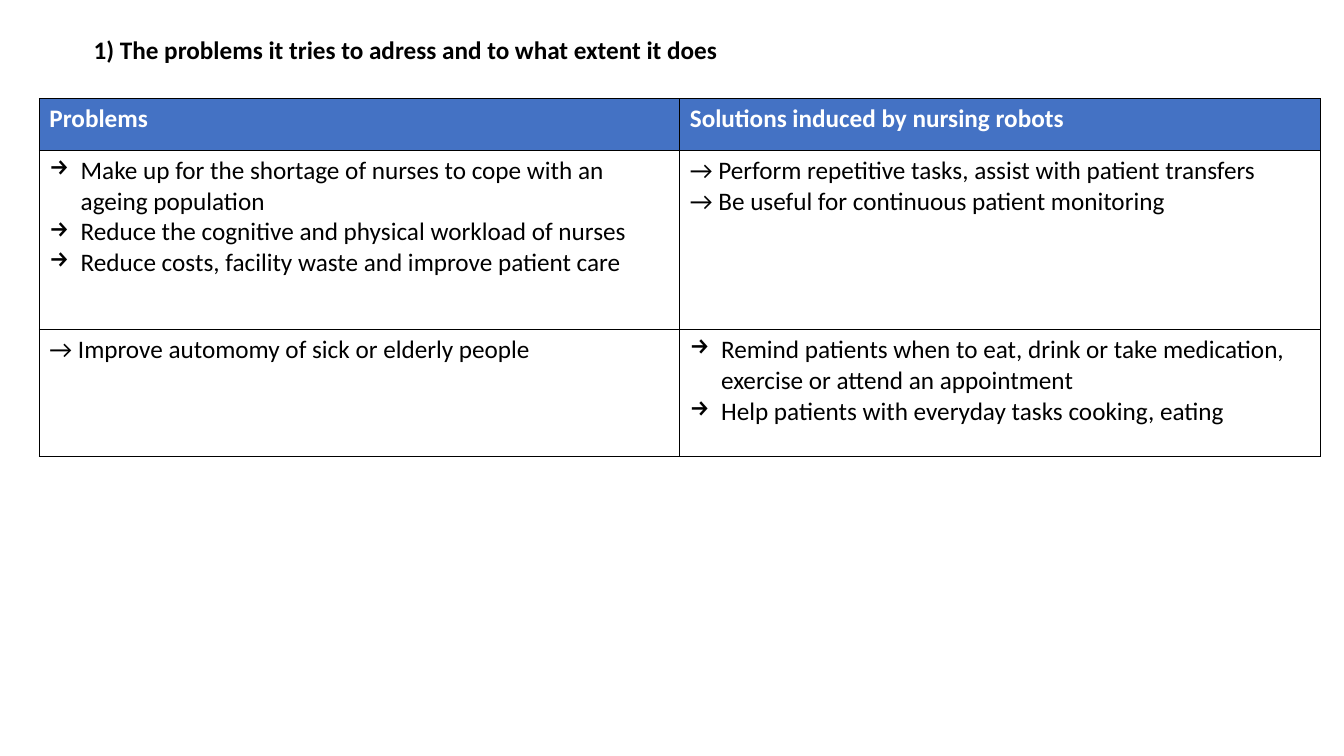
from lxml import etree
from pptx import Presentation
from pptx.dml.color import RGBColor
from pptx.enum.text import MSO_AUTO_SIZE
from pptx.oxml.ns import qn
from pptx.util import Inches, Pt

BLACK = RGBColor(0x00, 0x00, 0x00)
WHITE = RGBColor(0xFF, 0xFF, 0xFF)
BLUE = RGBColor(0x44, 0x72, 0xC4)
GROW = MSO_AUTO_SIZE.SHAPE_TO_FIT_TEXT
BLANK = 6
WIDTH, HEIGHT = Inches(13.33), Inches(7.5)
HANG = Inches(0.31)

BODY = {"name": "Calibri", "size": Pt(18), "bold": False}
BOLD = {**BODY, "bold": True}

ROWS = [
    [(False, ["Problems"]), (False, ["Solutions induced by nursing robots"])],
    [
        (True, [
            "Make up for the shortage of nurses to cope with an ageing population",
            "Reduce the cognitive and physical workload of nurses",
            "Reduce costs, facility waste and improve patient care",
        ]),
        (False, [
            "→ Perform repetitive tasks, assist with patient transfers",
            "→ Be useful for continuous patient monitoring",
        ]),
    ],
    [
        (False, ["→ Improve automomy of sick or elderly people"]),
        (True, [
            "Remind patients when to eat, drink or take medication, "
            "exercise or attend an appointment",
            "Help patients with everyday tasks cooking, eating",
        ]),
    ],
]
ROW_HEIGHTS = [0.51, 1.78, 1.26]


class SlideBuilder:
    """Hold the style and current slide, placing elements by percentages of its size."""

    def __init__(self, prs):
        self.s = prs.slides.add_slide(prs.slide_layouts[BLANK])
        self.size = (prs.slide_width, prs.slide_height) * 2

    def place(self, *shares):
        return [int(share * side / 100) for share, side in zip(shares, self.size)]

    def fill_text(self, tf, lines, style, color, bulleted=False):
        for i, line in enumerate(lines):
            p = tf.add_paragraph() if i else tf.paragraphs[0]
            r = p.add_run()
            r.text = line
            for name, value in style.items():
                setattr(r.font, name, value)
            r.font.color.rgb = color
            if bulleted:
                self.bullet(p)

    def bullet(self, p):
        pPr = p._p.get_or_add_pPr()
        pPr.set("marL", str(HANG))
        pPr.set("indent", str(-HANG))
        etree.SubElement(pPr, qn("a:buChar"), char="→")

    def text(self, shares, line):
        sp = self.s.shapes.add_textbox(*self.place(*shares))
        tf = sp.text_frame
        tf.word_wrap = True
        tf.auto_size = GROW
        self.fill_text(tf, [line], BOLD, BLACK)

    def border(self, cell):
        tcPr = cell._tc.get_or_add_tcPr()
        for side in ("lnL", "lnR", "lnT", "lnB"):
            ln = etree.SubElement(tcPr, qn(f"a:{side}"), w=str(Pt(1)))
            fill = etree.SubElement(ln, qn("a:solidFill"))
            etree.SubElement(fill, qn("a:srgbClr"), val=str(BLACK))

    def table(self, shares, rows, heights):
        sp = self.s.shapes.add_table(len(rows), len(rows[0]), *self.place(*shares))
        for row, height in zip(sp.table.rows, heights):
            row.height = Inches(height)
        for i, row in enumerate(rows):
            style, color, fill = (BODY, BLACK, WHITE) if i else (BOLD, WHITE, BLUE)
            for j, (bulleted, lines) in enumerate(row):
                cell = sp.table.cell(i, j)
                self.border(cell)
                cell.fill.solid()
                cell.fill.fore_color.rgb = fill
                self.fill_text(cell.text_frame, lines, style, color, bulleted)


def main():
    prs = Presentation()
    prs.slide_width, prs.slide_height = WIDTH, HEIGHT
    s = SlideBuilder(prs)
    s.text((6.23, 3.87, 52.74, 5.33),
           "1) The problems it tries to adress and to what extent it does")
    s.table((2.93, 13.07, 95.3, 47.33), ROWS, ROW_HEIGHTS)
    prs.save("out.pptx")


if __name__ == "__main__":
    main()
